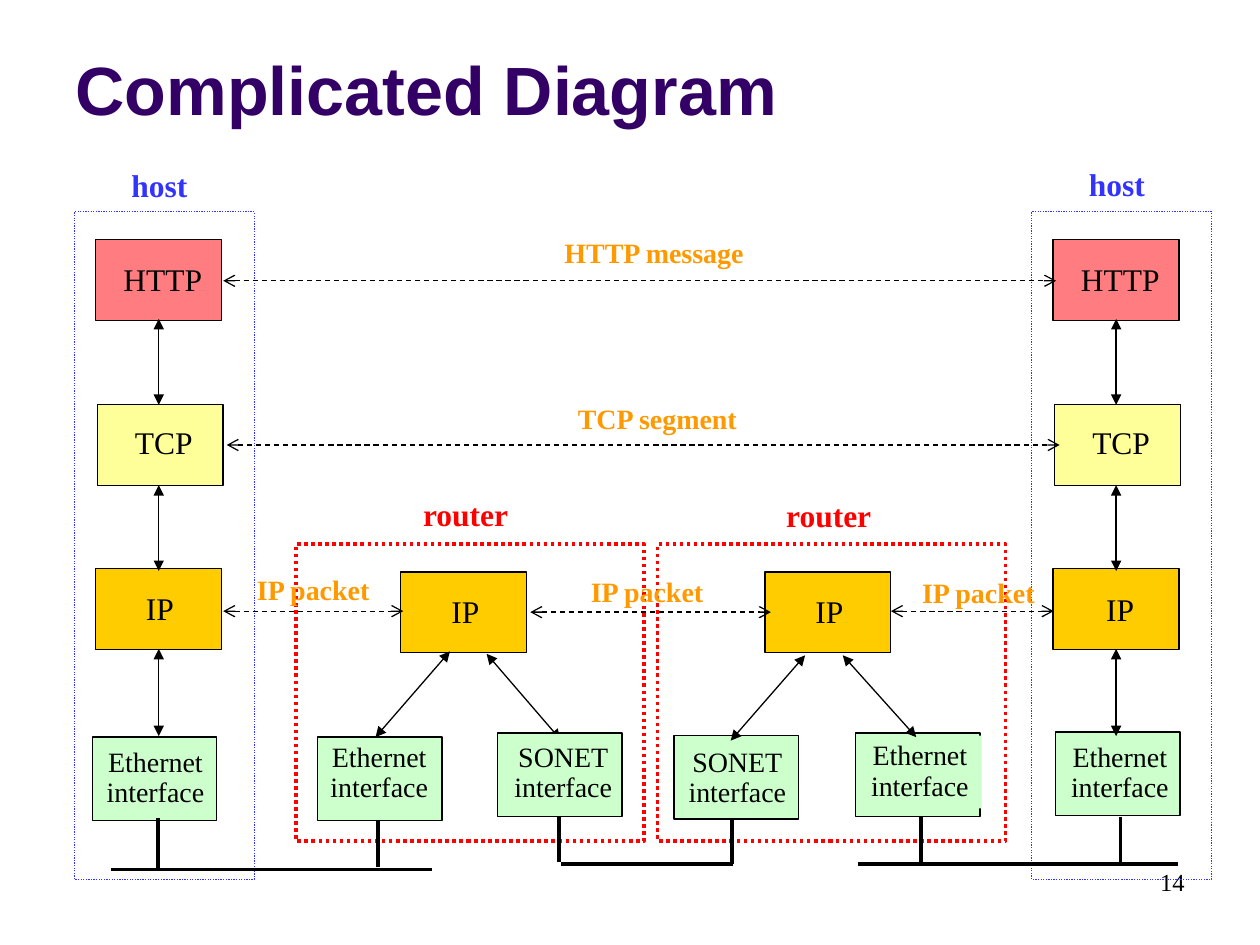
from pptx import Presentation
from pptx.dml.color import RGBColor
from pptx.enum.dml import MSO_LINE
from pptx.enum.shapes import MSO_CONNECTOR, MSO_SHAPE
from pptx.enum.text import MSO_ANCHOR, MSO_AUTO_SIZE, PP_ALIGN
from pptx.oxml.ns import qn
from pptx.util import Cm, Pt
from lxml import etree

STRAIGHT, RECTANGLE = MSO_CONNECTOR.STRAIGHT, MSO_SHAPE.RECTANGLE
DOTTED, DASHED = MSO_LINE.ROUND_DOT, MSO_LINE.DASH
LEFT, CENTER, RIGHT = PP_ALIGN.LEFT, PP_ALIGN.CENTER, PP_ALIGN.RIGHT
BOTTOM = MSO_ANCHOR.BOTTOM
NO_FIT, GROW = MSO_AUTO_SIZE.NONE, MSO_AUTO_SIZE.SHAPE_TO_FIT_TEXT

BLACK = RGBColor(0x00, 0x00, 0x00)
PURPLE = RGBColor(0x33, 0x00, 0x66)
BLUE = RGBColor(0x33, 0x33, 0xFF)
RED = RGBColor(0xFF, 0x00, 0x00)
ORANGE = RGBColor(0xFF, 0x99, 0x00)
PINK = RGBColor(0xFF, 0x7C, 0x80)
YELLOW = RGBColor(0xFF, 0xFF, 0x99)
GOLD = RGBColor(0xFF, 0xCC, 0x00)
GREEN = RGBColor(0xCC, 0xFF, 0xCC)

SERIF = "Times New Roman"
LAYER_SIZE = (2.54, 1.63)
INTERFACE_SIZE = (2.51, 1.68)
HOST_SIZE = (3.63, 13.46)
ROUTER_SIZE = (7.01, 5.99)
TEXT_WIDTHS = {
    "HTTP": 2.11, "TCP": 1.68, "IP": 1.07, "host": 1.65, "router": 2.24,
    "HTTP message": 4.17, "TCP segment": 3.76, "IP packet": 2.82,
}


def add_run(paragraph, words, size, color=BLACK, bold=False, font=SERIF):
    run = paragraph.add_run()
    run.text = words
    run.font.name, run.font.size, run.font.bold = font, Pt(size), bold
    run.font.color.rgb = color


def add_box(slide, left, top, size, fill=None, line=BLACK, weight=0.75, dash=None):
    box = slide.shapes.add_shape(RECTANGLE, Cm(left), Cm(top), *map(Cm, size))
    box.shadow.inherit = False
    if fill is None:
        box.fill.background()
    else:
        box.fill.solid()
        box.fill.fore_color.rgb = fill
    box.line.color.rgb = line
    box.line.width = Pt(weight)
    if dash is not None:
        box.line.dash_style = dash


def add_label(slide, words, left, top, size=18, color=BLACK, bold=False):
    label = slide.shapes.add_textbox(
        Cm(left), Cm(top), Cm(TEXT_WIDTHS[words]), Cm(1.02 if size == 18 else 0.94))
    label.text_frame.word_wrap = False
    label.text_frame.auto_size = GROW
    add_run(label.text_frame.paragraphs[0], words, size, color, bold)


def add_line(slide, start, end, weight=0.75, tip=None, dash=None):
    line = slide.shapes.add_connector(STRAIGHT, *map(Cm, start + end))
    line.line.color.rgb = BLACK
    line.line.width = Pt(weight)
    if dash is not None:
        line.line.dash_style = dash
    properties = line._element.spPr
    if tip:
        outline = properties.find(qn("a:ln"))
        for side in ("a:headEnd", "a:tailEnd"):
            etree.SubElement(outline, qn(side)).set("type", tip)
    etree.SubElement(properties, qn("a:effectLst"))


def add_interface(slide, left, top, kind, text_offset, text_fill=None):
    add_box(slide, left, top, INTERFACE_SIZE, GREEN)
    caption = slide.shapes.add_textbox(
        Cm(left + text_offset[0]), Cm(top + text_offset[1]), Cm(2.49), Cm(1.47))
    if text_fill is not None:
        caption.fill.solid()
        caption.fill.fore_color.rgb = text_fill
    frame = caption.text_frame
    frame.word_wrap = False
    frame.auto_size = GROW
    for paragraph, words in ((frame.paragraphs[0], kind),
                             (frame.add_paragraph(), "interface")):
        paragraph.alignment = CENTER
        paragraph.line_spacing = 0.9
        add_run(paragraph, words, 16)


def add_host(slide, left, top, ip_text, interface, interface_text, label_top):
    layers = (
        ("HTTP", PINK, (0.43, 0.56), (0.74, 0.84)),
        ("TCP", YELLOW, (0.46, 3.89), (0.97, 4.14)),
        ("IP", GOLD, (0.43, 7.19), ip_text),
    )
    for name, fill, (box_x, box_y), (text_x, text_y) in layers:
        add_box(slide, left + box_x, top + box_y, LAYER_SIZE, fill)
        add_label(slide, name, left + text_x, top + text_y)
    add_interface(slide, left + interface[0], top + interface[1], "Ethernet", interface_text)
    for upper, lower in ((2.16, 3.89), (5.51, 7.24), (8.81, 10.57)):
        add_line(slide, (left + 1.7, top + upper), (left + 1.7, top + lower), tip="triangle")
    add_box(slide, left, top, HOST_SIZE, line=BLUE, dash=DOTTED)
    add_label(slide, "host", left + 0.9, top + label_top, color=BLUE, bold=True)


def add_router(slide, left, top, ip_left, label, interfaces, arrows, arrows_on_top):
    def draw_arrows():
        for start, end in arrows:
            add_line(slide, (left + start[0], top + start[1]),
                     (left + end[0], top + end[1]), tip="triangle")

    add_box(slide, left + ip_left, top + 0.56, LAYER_SIZE, GOLD)
    add_label(slide, "IP", left + ip_left + 0.77, top + 0.84)
    if not arrows_on_top:
        draw_arrows()
    for kind, x, y, text_offset, text_fill in interfaces:
        add_interface(slide, left + x, top + y, kind, text_offset, text_fill)
    if arrows_on_top:
        draw_arrows()
    add_box(slide, left, top, ROUTER_SIZE, line=RED, weight=2, dash=DOTTED)
    add_label(slide, "router", left + label[0], top + label[1], color=RED, bold=True)


def add_network(slide, left, top, width, stems):
    add_line(slide, (left, top), (left + width, top), weight=2)
    for x, upper, lower in stems:
        add_line(slide, (left + x, top + upper), (left + x, top + lower), weight=2)


def add_message(slide, left, top, width, words, text_x, text_y):
    add_line(slide, (left, top), (left + width, top), tip="arrow", dash=DASHED)
    add_label(slide, words, left + text_x, top + text_y, 16, ORANGE, True)


def add_heading(slide, left, top, width, height):
    title = slide.shapes.title
    title.left, title.top, title.width, title.height = map(Cm, (left, top, width, height))
    frame = title.text_frame
    frame.vertical_anchor = BOTTOM
    frame.auto_size = NO_FIT
    frame.paragraphs[0].alignment = LEFT
    add_run(frame.paragraphs[0], "Complicated Diagram", 39, PURPLE, True, "Arial")


def add_page_number(slide, left, top, width, height):
    number = slide.shapes.add_textbox(*map(Cm, (left, top, width, height)))
    number.text_frame.word_wrap = True
    number.text_frame.paragraphs[0].alignment = RIGHT
    add_run(number.text_frame.paragraphs[0], "14", 14)


deck = Presentation()
deck.slide_width, deck.slide_height = Cm(25.4), Cm(19.05)
diagram = deck.slides.add_slide(deck.slide_layouts[5])

add_heading(diagram, 1.27, 0.33, 22.86, 2.41)
add_page_number(diagram, 18.21, 17.35, 5.92, 1.27)

add_host(diagram, 1.5, 4.27, (1.19, 7.47), (0.36, 10.59), (0.03, 0.1), -1.04)
add_host(diagram, 20.8, 4.27, (1.25, 7.49), (0.48, 10.49), (0.05, 0.1), -1.07)

add_router(
    diagram, 5.97, 10.97, 2.11, (2.31, -1.12),
    (("Ethernet", 0.43, 3.89, (0, 0), None), ("SONET", 4.06, 3.81, (0.08, 0.08), None)),
    (((3.1, 2.16), (1.6, 3.89)), ((3.84, 2.21), (5.33, 3.94))), False)
add_router(
    diagram, 13.26, 10.97, 2.16, (2.34, -1.09),
    (("SONET", 0.33, 3.86, (0.03, 0.13), None), ("Ethernet", 3.99, 3.81, (0.05, 0.05), GREEN)),
    (((2.97, 2.24), (1.47, 3.96)), ((3.73, 2.24), (5.21, 3.89))), True)

add_network(diagram, 2.24, 17.53, 6.47, ((0.94, -1.05, 0), (5.38, -0.97, -0.05)))
add_network(diagram, 11.3, 17.42, 3.48, ((-0.03, -0.96, -0.05), (3.46, -0.94, 0)))
add_network(diagram, 17.3, 17.42, 6.45, ((1.27, -0.96, 0), (5.29, -0.96, -0.05)))

for message in (
    (4.5, 5.66, 16.79, "HTTP message", 6.63, -1.04),
    (4.57, 8.97, 16.79, "TCP segment", 6.83, -0.99),
    (4.5, 12.32, 3.63, "IP packet", 0.43, -0.91),
    (10.69, 12.34, 4.85, "IP packet", 0.97, -0.89),
    (17.96, 12.32, 3.28, "IP packet", 0.38, -0.84),
):
    add_message(diagram, *message)

deck.save("out.pptx")
